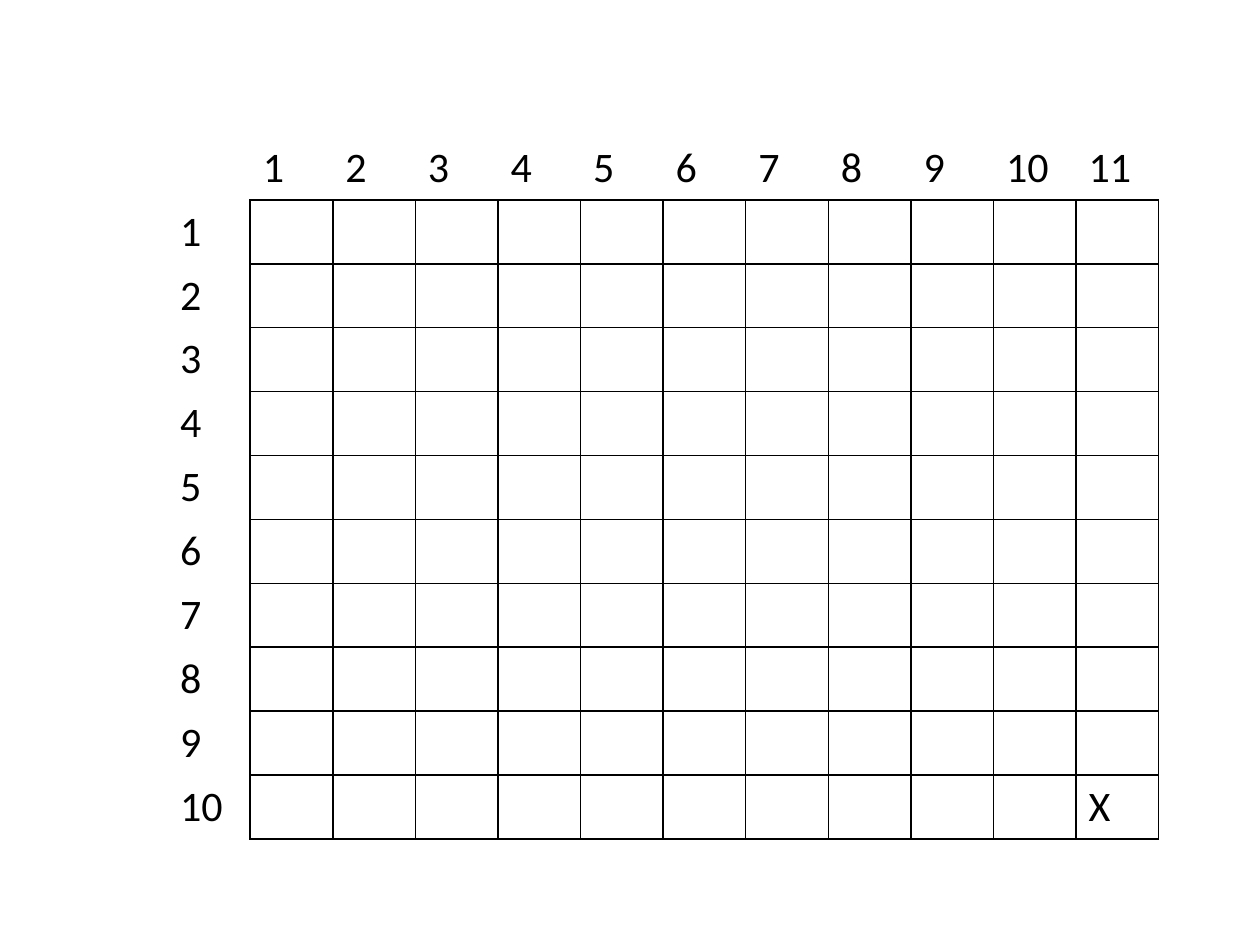
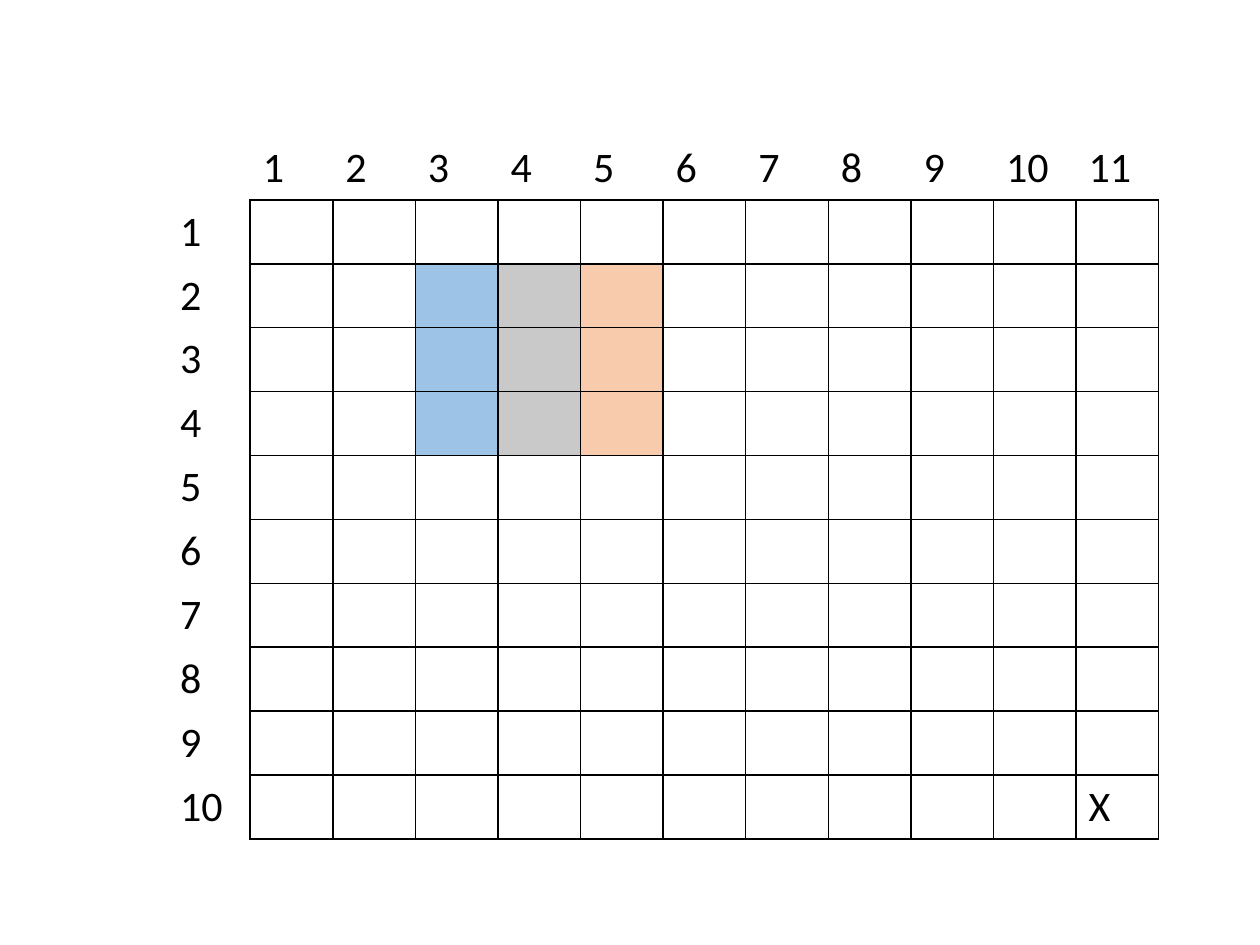
import dataclasses
import typing

import lxml.etree
import pptx
import pptx.dml.color
import pptx.oxml.ns
import pptx.util

Inches = pptx.util.Inches


@dataclasses.dataclass(frozen=True)
class Theme:
    font: str = "Calibri"
    size: int = 24
    line: float = 1
    ink: str = "000000"
    white: str = "FFFFFF"
    blue: str = "9DC3E6"
    gray: str = "C9C9C9"
    peach: str = "F8CBAD"


class Patch(typing.NamedTuple):
    """A block of grid cells, from first to last row and column."""
    top: int
    left: int
    bottom: int
    right: int
    fill: str

    def holds(self, row: int, col: int) -> bool:
        return self.top <= row <= self.bottom and self.left <= col <= self.right


THEME = Theme()
ROWS, COLS = 10, 11
MARK = "X"

# Later patches cover earlier ones
PLAIN: tuple[Patch, ...] = ()
BANDS = (
    Patch(2, 3, 8, 9, THEME.white),
    Patch(2, 3, 4, 3, THEME.blue),
    Patch(2, 4, 4, 4, THEME.gray),
    Patch(2, 5, 4, 5, THEME.peach),
)


def label(row: int, col: int) -> str:
    """Headings number the columns and rows; the last cell is marked."""
    if (row, col) == (ROWS, COLS):
        return MARK
    if row and col or row == col:
        return ""
    return str(row or col)


def edges(row: int, col: int) -> str:
    """Sides of a cell that carry a line."""
    if row and col:
        return "LRTB"
    if col:
        return "B"
    return "R" if row else ""


def border(cell, sides: str) -> None:
    props = cell._tc.get_or_add_tcPr()
    tag = pptx.oxml.ns.qn
    for side in "LRTB":
        line = lxml.etree.SubElement(props, tag(f"a:ln{side}"))
        line.set("w", str(int(pptx.util.Pt(THEME.line))))
        if side in sides:
            solid = lxml.etree.SubElement(line, tag("a:solidFill"))
            lxml.etree.SubElement(solid, tag("a:srgbClr")).set("val", THEME.ink)
        else:
            lxml.etree.SubElement(line, tag("a:noFill"))


def paint(cell, fill: str | None) -> None:
    if fill is None:
        cell.fill.background()
    else:
        cell.fill.solid()
        cell.fill.fore_color.rgb = pptx.dml.color.RGBColor.from_string(fill)


def write(cell, text: str) -> None:
    cell.text_frame.text = text
    for run in cell.text_frame.paragraphs[0].runs:
        run.font.name = THEME.font
        run.font.size = pptx.util.Pt(THEME.size)
        run.font.color.rgb = pptx.dml.color.RGBColor.from_string(THEME.ink)


def draw(slide, patches: tuple[Patch, ...]) -> None:
    height = Inches(5.5)
    frame = slide.shapes.add_table(ROWS + 1, COLS + 1, Inches(1.33),
                                   Inches(1.08), Inches(7.87), height)
    table = frame.table
    table.first_row = table.horz_banding = False
    for row, line in enumerate(table.rows):
        line.height = Inches(0.41 if row else 0.38)
        for col, cell in enumerate(line.cells):
            fills = [p.fill for p in patches if p.holds(row, col)]
            border(cell, edges(row, col))
            paint(cell, fills[-1] if fills else None)
            if text := label(row, col):
                write(cell, text)
    frame.height = height


def main() -> None:
    deck = pptx.Presentation()
    deck.slide_width, deck.slide_height = Inches(10), Inches(7.5)
    for patches in (PLAIN, BANDS):
        draw(deck.slides.add_slide(deck.slide_layouts[6]), patches)
    deck.save("out.pptx")


if __name__ == "__main__":
    main()
